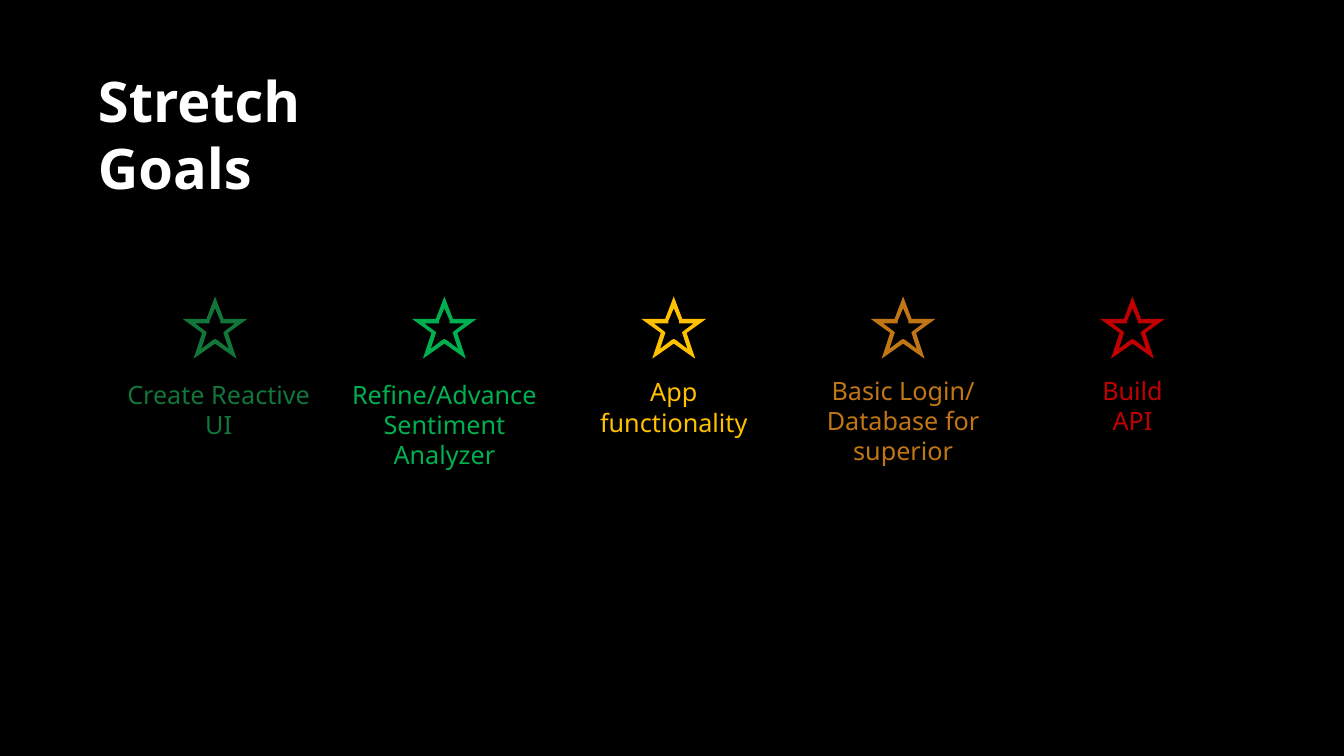
from lxml.etree import SubElement as Sub
from pptx import Presentation
from pptx.dml.color import RGBColor as Rgb
from pptx.enum.text import PP_ALIGN as Align
from pptx.oxml.ns import qn
from pptx.util import Cm, Pt

FONT = "Noto Sans"
FIRST, STEP = 5.42, 5.78  # centre of the first star, and the gap to the next
STAR_TOP = 7.52

# Right half of each star outline, from top to bottom, in hundredths of an inch
UNIT = Cm(2.54) / 100
OUTER = [(0, 0), (8, 21), (29.5, 21), (12.5, 34), (20.5, 58.5), (0, 44)]
INNER = [(0, 8), (5.5, 22), (6.5, 24), (22, 24), (10.5, 33), (9, 34),
         (15, 52), (2, 42.5), (0, 41)]

# Text, colour, centre shift, top and width of each label
GOALS = [
    ("Create Reactive UI", "12763A", 0.09, 9.43, 5.44),
    ("Refine/Advance\nSentiment Analyzer", "00B050", 0, 9.43, 5.59),
    ("App functionality", "FFC000", 0, 9.37, 4.95),
    ("Basic Login/\nDatabase for superior", "C17615", 0, 9.33, 6.05),
    ("Build API", "C00000", 0, 9.33, 3),
]


def color(code):
    return Rgb.from_string(code)


def add_text(slide, text, left, top, width, height, *, size, fill,
             bold=False, align=Align.LEFT):
    box = slide.shapes.add_textbox(Cm(left), Cm(top), Cm(width), Cm(height))
    frame = box.text_frame
    frame.word_wrap = True
    frame.text = text
    for para in frame.paragraphs:
        para.alignment = align
        para.line_spacing = Pt(size * 1.2)
        for run in para.runs:
            font = run.font
            font.name, font.size, font.bold = FONT, Pt(size), bold
            font.color.rgb = color(fill)


def mirror(half):
    """Close a half outline with its reflection about the vertical axis."""
    return half + [(-x, y) for x, y in reversed(half[1:-1])]


def add_star(slide, center, top, fill):
    outer, inner = mirror(OUTER), mirror(INNER)
    path = slide.shapes.build_freeform(*outer[0], scale=UNIT)
    path.add_line_segments(outer[1:], close=True)
    path.move_to(*inner[0])
    path.add_line_segments(inner[1:], close=True)
    star = path.convert_to_shape(Cm(center), Cm(top))
    star.shadow.inherit = False
    star.fill.solid()
    star.fill.fore_color.rgb = color(fill)
    star.line.color.rgb = color(fill)
    star.line.width = Pt(1)
    edge = star.element.spPr.find(qn("a:ln"))
    Sub(edge, qn("a:miter"), lim="800000")


def main():
    deck = Presentation()
    deck.slide_width, deck.slide_height = Cm(33.87), Cm(19.05)
    slide = deck.slides.add_slide(deck.slide_layouts[6])
    back = slide.background.fill
    back.solid()
    back.fore_color.rgb = color("000000")

    add_text(slide, "Stretch Goals", 2.22, 1.55, 8.76, 3.64,
             size=40, fill="FFFFFF", bold=True)
    for i, (text, fill, shift, top, width) in enumerate(GOALS):
        center = FIRST + i * STEP
        add_star(slide, center, STAR_TOP, fill)
        add_text(slide, text, center + shift - width / 2, top, width, 1.8,
                 size=18, fill=fill, align=Align.CENTER)
    deck.save("out.pptx")


if __name__ == "__main__":
    main()
